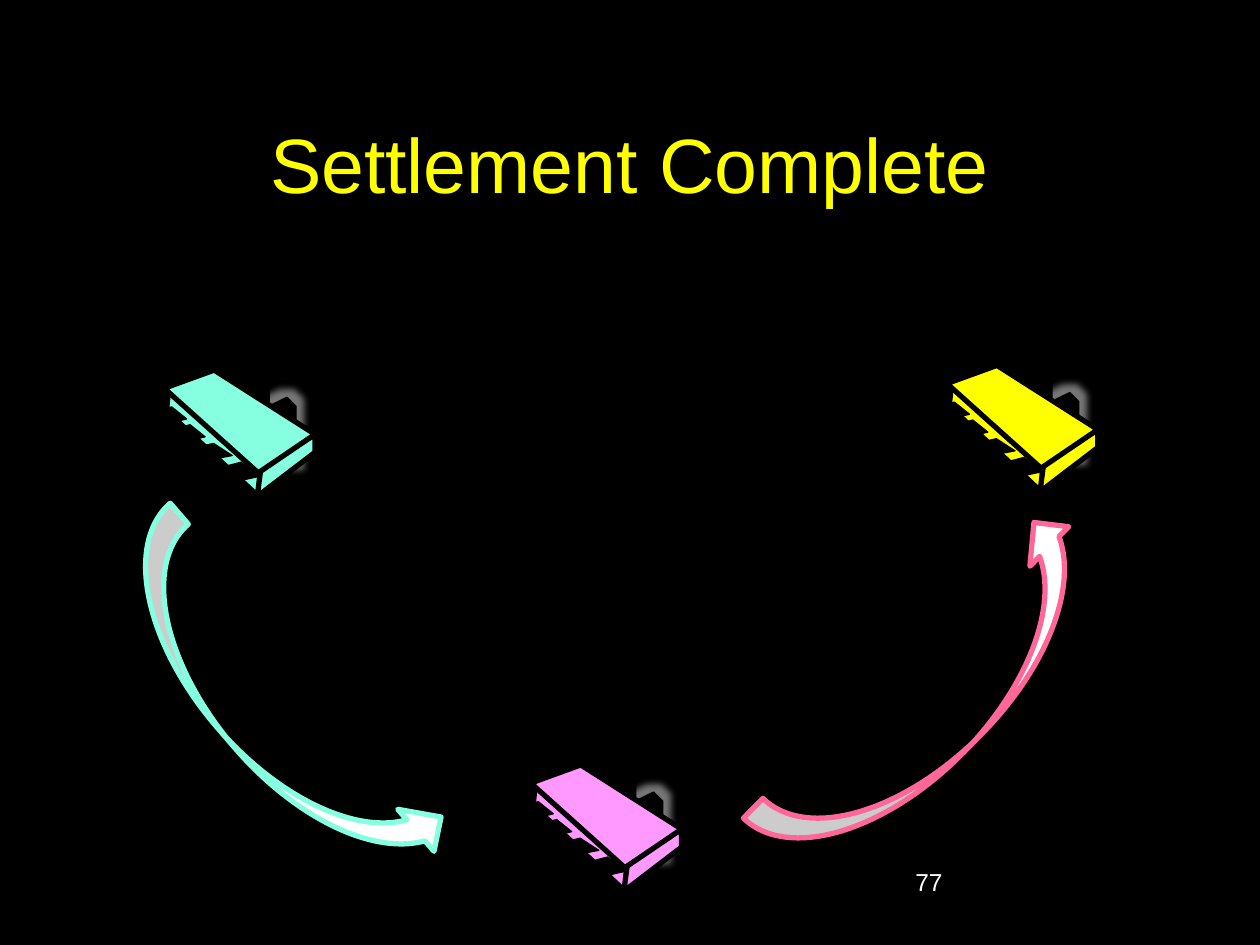
from lxml import etree
from pptx import Presentation, util as u
from pptx.dml.color import RGBColor
from pptx.enum import shapes, text
from pptx.oxml.ns import qn

THEME = {
    "font": "Arial",
    "background": "000000",
    "title": ("FFFF00", 44),
    "number": ("FFFFFF", 14),
    "arrow_fill": "FFFFFF",
    "edge": "000000",
    "glow": "777777",
    "thin": 0.75,
    "thick": 3,
}
MINT, PINK, ROSE, YELLOW = "85FFE0", "FF99FF", "FF6699", "FFFF00"

BACK_LEG = [(0, 0.14), (0.67, 0), (1, 0.14), (1, 1), (0.67, 0.86), (0.67, 0.29), (0, 0.43)]
FRONT_LEG = [(0.59, 0), (1, 0.22), (0.29, 0.33), (0.29, 1), (0, 0.77), (0, 0.11)]
BACK_BOXES = [
    (85.7, 26.6, 15.7, 36.7),
    (67.8, 15.5, 15.7, 36.7),
    (52.4, 5.2, 15.7, 36.7),
    (36.7, 0, 15.7, 31.5),
]
FRONT_BOXES = [
    (36.7, 52.6, 26, 36.7),
    (21, 41.9, 26, 31.5),
    (10.5, 31.2, 21, 31.5),
    (0, 21, 21, 31.5),
]
GLOWING_LEG = BACK_BOXES[1]
TABLE_SIDES = [
    [(10.8, 10.4), (62.9, 57.6), (62, 72.2), (9.4, 23.3)],
    [(94.3, 36.7), (94.3, 47), (61.3, 72.2), (63.4, 56.2)],
]
TABLE_TOP = [(36.7, 0), (94.3, 36.7), (61.9, 58.7), (8.1, 10.4)]

LOWER_TABLES = [(295.2, 437.1, PINK), (533, 208.8, YELLOW)]
UPPER_TABLES = [(85.7, 211.5, MINT)]
LABELS = [
    ("Settlement Complete", (54, 48, 612, 90), "title", text.PP_ALIGN.CENTER, text.MSO_ANCHOR.MIDDLE),
    ("77", (516, 492, 150, 36), "number", text.PP_ALIGN.LEFT, text.MSO_ANCHOR.TOP),
]
ARROWS = [((29.5, 372.2, 252.7, 63.4), 229.2, MINT), ((409.7, 367.9, 252.7, 63.4), 134.5, ROSE)]


def points(values):
    return [u.Pt(value) for value in values]


def paint(shape, fill, line, width):
    shape.shadow.inherit = False
    shape.fill.solid()
    shape.fill.fore_color.rgb = RGBColor.from_string(fill)
    shape.line.color.rgb = RGBColor.from_string(line)
    shape.line.width = u.Pt(width)


def add_glow(shape):
    effects = shape._element.spPr.find(qn("a:effectLst"))
    glow = etree.SubElement(effects, qn("a:glow"), rad=str(u.Pt(8)))
    etree.SubElement(glow, qn("a:srgbClr"), val=THEME["glow"])


def add_outline(group, origin, outline, fill, width):
    left, top = origin
    corners = [points((left + x, top + y)) for x, y in outline]
    builder = group.shapes.build_freeform(*corners[0])
    builder.add_line_segments(corners[1:], close=True)
    shape = builder.convert_to_shape()
    paint(shape, fill, THEME["edge"], width)
    return shape


def add_legs(group, origin, outline, boxes):
    for box in boxes:
        x, y, width, height = box
        leg = [(x + across * width, y + down * height) for across, down in outline]
        shape = add_outline(group, origin, leg, THEME["edge"], THEME["thin"])
        if box == GLOWING_LEG:
            add_glow(shape)


def add_tables(slide, tables):
    for left, top, color in tables:
        group = slide.shapes.add_group_shape()
        origin = (left, top)
        add_legs(group, origin, BACK_LEG, BACK_BOXES)
        for side in TABLE_SIDES:
            add_outline(group, origin, side, color, THEME["thick"])
        add_legs(group, origin, FRONT_LEG, FRONT_BOXES)
        add_outline(group, origin, TABLE_TOP, color, THEME["thick"])


def add_label(slide, words, box, style, alignment, anchor):
    color, size = THEME[style]
    frame = slide.shapes.add_textbox(*points(box)).text_frame
    frame.word_wrap = True
    frame.vertical_anchor = anchor
    paragraph = frame.paragraphs[0]
    paragraph.text = words
    paragraph.alignment = alignment
    paragraph.font.name = THEME["font"]
    paragraph.font.size = u.Pt(size)
    paragraph.font.color.rgb = RGBColor.from_string(color)


def add_arrow(slide, box, rotation, color):
    shape = slide.shapes.add_shape(shapes.MSO_SHAPE.CURVED_DOWN_ARROW, *points(box))
    shape.rotation = rotation
    shape._element.spPr.xfrm.set("flipH", "1")
    paint(shape, THEME["arrow_fill"], color, THEME["thick"])


def main():
    presentation = Presentation()
    presentation.slide_width, presentation.slide_height = points((720, 540))
    slide = presentation.slides.add_slide(presentation.slide_layouts[6])
    slide.background.fill.solid()
    slide.background.fill.fore_color.rgb = RGBColor.from_string(THEME["background"])
    add_tables(slide, LOWER_TABLES)
    for label in LABELS:
        add_label(slide, *label)
    for arrow in ARROWS:
        add_arrow(slide, *arrow)
    add_tables(slide, UPPER_TABLES)
    presentation.save("out.pptx")


if __name__ == "__main__":
    main()
